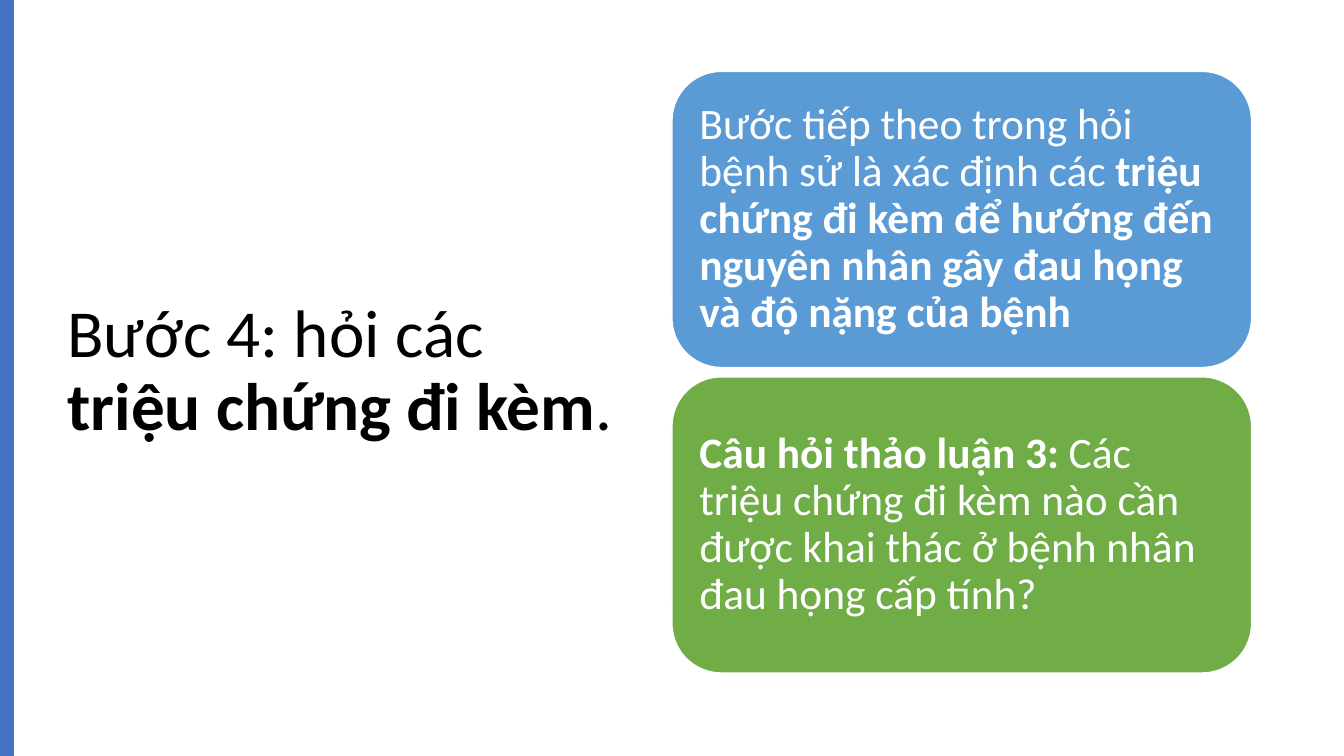
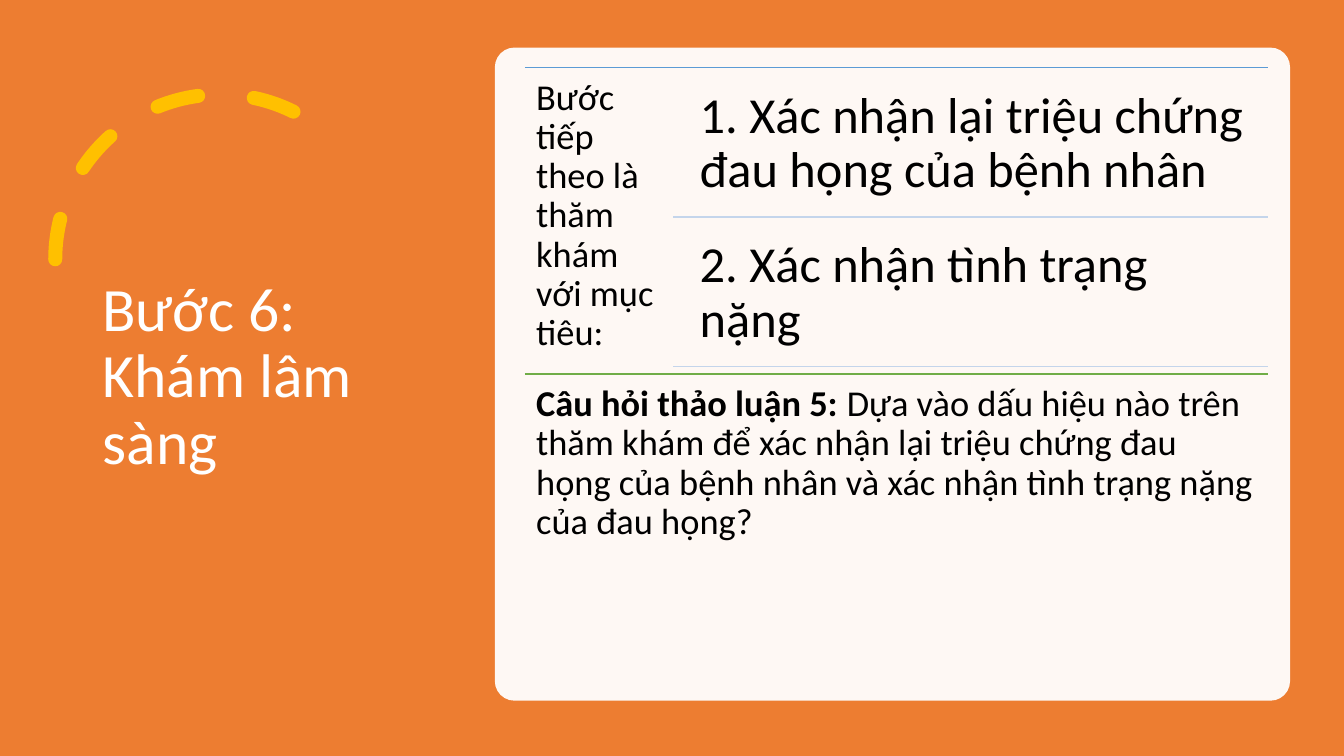
"""Build two slides on taking the history of and examining a sore throat."""
from lxml import etree
from pptx import Presentation
from pptx.dml.color import RGBColor
from pptx.enum.dml import MSO_LINE
from pptx.enum.shapes import MSO_CONNECTOR, MSO_SHAPE
from pptx.enum.text import MSO_ANCHOR, MSO_AUTO_SIZE, PP_ALIGN
from pptx.oxml.ns import qn
from pptx.util import Pt

ARC, RECTANGLE, ROUNDED = MSO_SHAPE.ARC, MSO_SHAPE.RECTANGLE, MSO_SHAPE.ROUNDED_RECTANGLE
STRAIGHT, DASH = MSO_CONNECTOR.STRAIGHT, MSO_LINE.DASH
TOP, MIDDLE, LEFT = MSO_ANCHOR.TOP, MSO_ANCHOR.MIDDLE, PP_ALIGN.LEFT
NO_AUTOFIT = MSO_AUTO_SIZE.NONE

FONT = "Calibri"
COLOURS = {
    name: RGBColor.from_string(value)
    for name, value in {
        "black": "000000",
        "white": "FFFFFF",
        "bar": "4472C4",
        "blue": "5B9BD5",
        "green": "70AD47",
        "orange": "ED7D31",
        "gold": "FFC000",
        "pale blue": "C4D5EB",
    }.items()
}


def write(shape, *runs, size, colour="black", anchor=TOP, inset=(7.2, 3.6)):
    """Fill a shape with one paragraph made of (text, bold) runs."""
    frame = shape.text_frame
    frame.word_wrap = True
    frame.auto_size = NO_AUTOFIT
    frame.vertical_anchor = anchor
    frame.margin_left = frame.margin_right = Pt(inset[0])
    frame.margin_top = frame.margin_bottom = Pt(inset[1])
    paragraph = frame.paragraphs[0]
    paragraph.alignment = LEFT
    paragraph.line_spacing = 0.9
    for text, bold in runs:
        run = paragraph.add_run()
        run.text = text
        run.font.name = FONT
        run.font.size = Pt(size)
        run.font.bold = bold
        run.font.color.rgb = COLOURS[colour]


def add_title(slide, box, *runs, **style):
    """Place the title placeholder and write its text."""
    title = slide.shapes.title
    title.left, title.top, title.width, title.height = map(Pt, box)
    write(title, *runs, anchor=MIDDLE, **style)


presentation = Presentation()
presentation.slide_width, presentation.slide_height = Pt(960), Pt(540)
title_only = presentation.slide_layouts[5]

slide = presentation.slides.add_slide(title_only)
add_title(
    slide, (41, 49, 408, 433.5),
    ("Bước 4: hỏi các ", False), ("triệu chứng đi kèm", True), (".", False),
    size=48,
)
bar = slide.shapes.add_shape(RECTANGLE, 0, 0, Pt(10), Pt(540))
bar.shadow.inherit = False
bar.fill.solid()
bar.fill.fore_color.rgb = COLOURS["bar"]
bar.line.fill.background()

CARDS = [
    ("blue", [
        ("Bước tiếp theo trong hỏi bệnh sử là xác định các ", False),
        ("triệu chứng đi kèm để hướng đến nguyên nhân gây đau họng "
         "và độ nặng của bệnh", True),
    ]),
    ("green", [
        ("Câu hỏi thảo luận 3: ", True),
        ("Các triệu chứng đi kèm nào cần được khai thác ở bệnh nhân "
         "đau họng cấp tính?", False),
    ]),
]
for index, (colour, runs) in enumerate(CARDS):
    card = slide.shapes.add_shape(ROUNDED, Pt(480), Pt(51 + 218.2 * index), Pt(414), Pt(211.5))
    card.shadow.inherit = False
    card.fill.solid()
    card.fill.fore_color.rgb = COLOURS[colour]
    card.line.color.rgb = COLOURS["white"]
    card.line.width = Pt(1)
    write(card, *runs, size=31, colour="white", anchor=MIDDLE, inset=(9.3, 9.3))

slide = presentation.slides.add_slide(title_only)
slide.background.fill.solid()
slide.background.fill.fore_color.rgb = COLOURS["orange"]
add_title(
    slide, (66, 50.5, 232.5, 438.5), ("Bước 6: Khám lâm sàng", False),
    size=44, colour="white",
)

arc = slide.shapes.add_shape(ARC, Pt(39.5), Pt(67.5), Pt(235.5), Pt(235.5))
arc.shadow.inherit = False
arc.adjustments[0] = 146.13
arc.adjustments[1] = 0
arc.fill.background()
arc.line.color.rgb = COLOURS["gold"]
arc.line.width = Pt(10)
arc.line.dash_style = DASH
arc_properties = arc._element.spPr
arc_properties.find(qn("a:xfrm")).set("flipH", "1")
arc_properties.find(qn("a:ln")).set("cap", "rnd")

panel = slide.shapes.add_shape(ROUNDED, Pt(353.5), Pt(34), Pt(568), Pt(466.5))
panel.shadow.inherit = False
panel.adjustments[0] = 0.03
panel.fill.solid()
panel.fill.fore_color.rgb = COLOURS["white"]
panel.line.fill.background()
panel_colour = panel._element.spPr.find(qn("a:solidFill"))[0]
etree.SubElement(panel_colour, qn("a:alpha")).set("val", "95000")

PANEL_LEFT, PANEL_RIGHT, GOAL_LEFT = 375, 906, 481
ROW_TOP, ROW_HEIGHT = 48.2, 219
GOAL_STEP = 106.8
RULES = [
    (PANEL_LEFT, ROW_TOP, "blue"),
    (GOAL_LEFT, ROW_TOP + GOAL_STEP, "pale blue"),
    (GOAL_LEFT, ROW_TOP + 2 * GOAL_STEP + 0.2, "pale blue"),
    (PANEL_LEFT, ROW_TOP + ROW_HEIGHT, "green"),
]
for left, top, colour in RULES:
    rule = slide.shapes.add_connector(STRAIGHT, Pt(left), Pt(top), Pt(PANEL_RIGHT), Pt(top))
    rule.line.color.rgb = COLOURS[colour]
    rule.line.width = Pt(1)
    etree.SubElement(rule._element.spPr, qn("a:effectLst"))

PASSAGES = [
    (PANEL_LEFT, ROW_TOP, 106, ROW_HEIGHT, 26, 8, [
        ("Bước tiếp theo là thăm khám với mục tiêu:", False),
    ]),
    (489, ROW_TOP + 5, 416.5, 101.5, 36, 10.8, [
        ("1. Xác nhận lại triệu chứng đau họng của bệnh nhân", False),
    ]),
    (489, ROW_TOP + 5 + GOAL_STEP, 416.5, 101.5, 36, 10.8, [
        ("2. Xác nhận tình trạng nặng", False),
    ]),
    (PANEL_LEFT, ROW_TOP + ROW_HEIGHT, PANEL_RIGHT - PANEL_LEFT, ROW_HEIGHT, 26, 8, [
        ("Câu hỏi thảo luận 5: ", True),
        ("Dựa vào dấu hiệu nào trên thăm khám để xác nhận lại triệu chứng "
         "đau họng của bệnh nhân và xác nhận tình trạng nặng của đau họng?", False),
    ]),
]
for left, top, width, height, size, inset, runs in PASSAGES:
    passage = slide.shapes.add_textbox(Pt(left), Pt(top), Pt(width), Pt(height))
    write(passage, *runs, size=size, inset=(inset, inset))

presentation.save("out.pptx")
